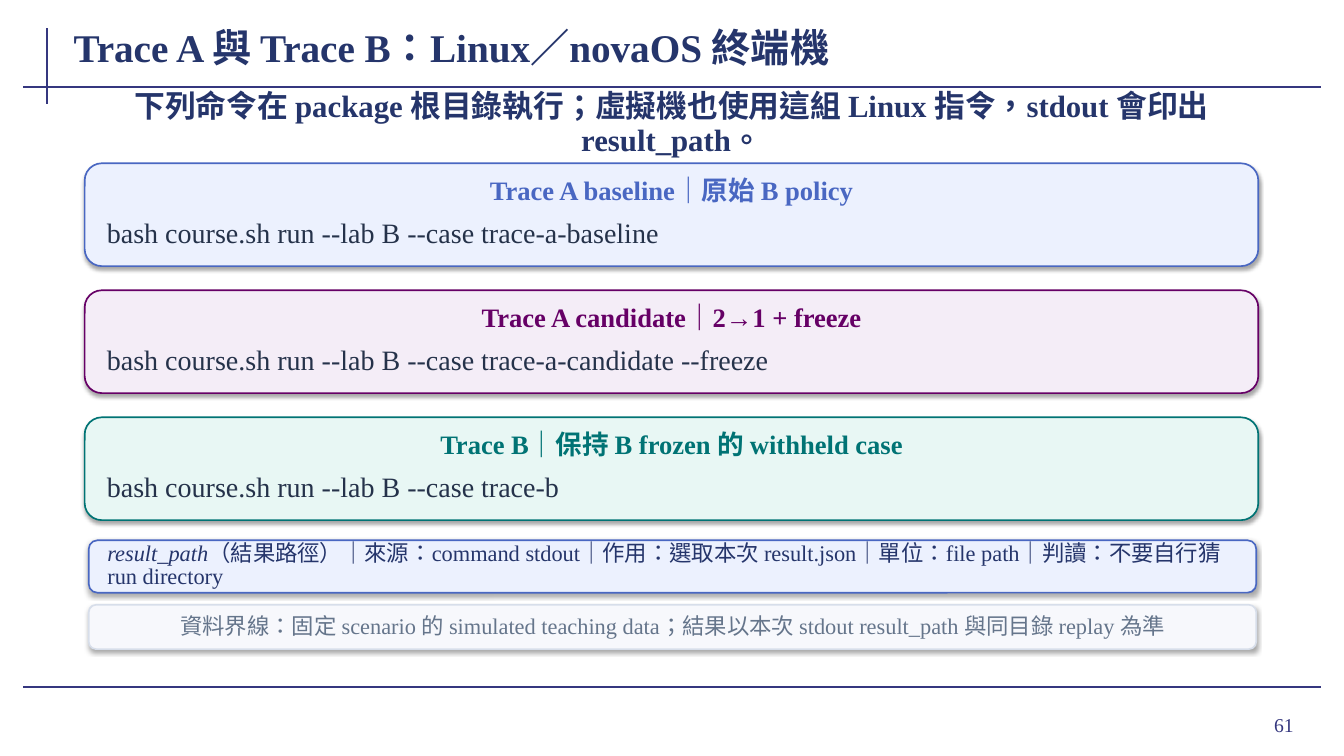
from dataclasses import dataclass

from lxml.etree import SubElement
from pptx import Presentation
from pptx.dml.color import RGBColor
from pptx.enum.lang import MSO_LANGUAGE_ID
from pptx.enum.shapes import MSO_CONNECTOR, MSO_SHAPE
from pptx.enum.text import MSO_ANCHOR, MSO_AUTO_SIZE, PP_ALIGN
from pptx.oxml.ns import qn
from pptx.util import Inches, Pt


@dataclass(frozen=True)
class Theme:
    face: str = "Times New Roman"
    rule: str = "35377F"
    navy: str = "25356B"
    ink: str = "25324A"
    blue: str = "4967C2"
    sky: str = "ECF1FE"
    plum: str = "660066"
    lilac: str = "F4EDF7"
    teal: str = "007374"
    mint: str = "E8F7F4"
    gray: str = "65758B"
    edge: str = "D7DEEA"
    pale: str = "F7F8FC"
    title: int = 28
    lead: int = 22
    code: int = 20
    label: int = 19
    note: int = 16
    page: int = 14


THEME = Theme()


def tint(code):
    return RGBColor.from_string(code)


def place(shape, box):
    shape.left, shape.top, shape.width, shape.height = map(Inches, box)


def write(shape, text, size, color, align=PP_ALIGN.LEFT, bold=False,
          space=None, pad=(0.02, 0), grow=False):
    frame = shape.text_frame
    frame.text = text
    frame.word_wrap = True
    frame.auto_size = MSO_AUTO_SIZE.SHAPE_TO_FIT_TEXT if grow else MSO_AUTO_SIZE.NONE
    frame.vertical_anchor = MSO_ANCHOR.MIDDLE
    frame.margin_left = frame.margin_right = Inches(pad[0])
    frame.margin_top = frame.margin_bottom = Inches(pad[1])
    para = frame.paragraphs[0]
    para.alignment = align
    if space:
        para.line_spacing = space
    for run in para.runs:
        style(run, size, color, bold)
    return para


def style(run, size, color, bold=False):
    run.font.name = THEME.face
    run.font.size = Pt(size)
    run.font.bold = bold
    run.font.color.rgb = tint(color)
    run.font.language_id = MSO_LANGUAGE_ID.TRADITIONAL_CHINESE


def add_text(slide, box, *args, **opts):
    shape = slide.shapes.add_textbox(*map(Inches, box))
    return write(shape, *args, **opts)


def add_rule(slide, start, end):
    line = slide.shapes.add_connector(
        MSO_CONNECTOR.STRAIGHT, *map(Inches, start + end))
    line.line.color.rgb = tint(THEME.rule)
    line.line.width = Pt(1.5)
    SubElement(line._element.spPr, qn("a:effectLst"))


def add_panel(slide, box, fill, edge):
    panel = slide.shapes.add_shape(
        MSO_SHAPE.ROUNDED_RECTANGLE, *map(Inches, box))
    panel.fill.solid()
    panel.fill.fore_color.rgb = tint(fill)
    panel.line.color.rgb = tint(edge)
    panel.line.width = Pt(1.2)
    panel.shadow.inherit = False
    effects = panel._element.spPr.find(qn("a:effectLst"))
    shade = SubElement(effects, qn("a:outerShdw"), blurRad=str(Pt(3.1)),
                       dist=str(Pt(1.8)), dir="5400000", rotWithShape="0")
    black = SubElement(shade, qn("a:srgbClr"), val="000000")
    SubElement(black, qn("a:alpha"), val="35000")
    return panel


def add_card(slide, top, label, code, fill, color):
    add_panel(slide, (0.84, top, 11.64, 1.02), fill, color)
    add_text(slide, (0.98, top + 0.12, 11.36, 0.34), label, THEME.label, color,
             PP_ALIGN.CENTER, True, 0.86, (0.01, 0), True)
    add_text(slide, (1.04, top + 0.54, 11.24, 0.36), code, THEME.code,
             THEME.ink, space=0.76, grow=True)


def main():
    deck = Presentation()
    deck.slide_width, deck.slide_height = Inches(13.33), Inches(7.5)
    slide = deck.slides.add_slide(deck.slide_layouts[5])

    add_rule(slide, (0.47, 0.28), (0.47, 1.03))
    for top in (0.86, 6.82):
        add_rule(slide, (0.23, top), (13.1, top))
    add_text(slide, (11.96, 6.93, 0.97, 0.52), "61", THEME.page, THEME.rule,
             PP_ALIGN.RIGHT, pad=(0.1, 0.05))

    title = slide.shapes.title
    place(title, (0.72, 0.2, 10.35, 0.53))
    write(title, "Trace A 與 Trace B：Linux／novaOS 終端機", THEME.title,
          THEME.navy, bold=True, pad=(0.01, 0))
    add_text(slide, (0.92, 1.02, 11.48, 0.42),
             "下列命令在 package 根目錄執行；虛擬機也使用這組 Linux 指令，stdout 會印出 result_path。",
             THEME.lead, THEME.navy, PP_ALIGN.CENTER, True, 0.94, grow=True)

    cards = (
        ("Trace A baseline｜原始 B policy", "trace-a-baseline",
         THEME.sky, THEME.blue),
        ("Trace A candidate｜2→1 + freeze", "trace-a-candidate --freeze",
         THEME.lilac, THEME.plum),
        ("Trace B｜保持 B frozen 的 withheld case", "trace-b",
         THEME.mint, THEME.teal),
    )
    for row, (label, case, fill, color) in enumerate(cards):
        add_card(slide, 1.62 + 1.26 * row, label,
                 f"bash course.sh run --lab B --case {case}", fill, color)

    result = add_panel(slide, (0.88, 5.36, 11.58, 0.52), THEME.sky, THEME.blue)
    para = write(result, "result_path", THEME.note, THEME.navy,
                 space=0.86, pad=(0.16, 0.01))
    para.runs[0].font.italic = True
    rest = para.add_run()
    rest.text = ("（結果路徑）｜來源：command stdout｜作用：選取本次 result.json"
                 "｜單位：file path｜判讀：不要自行猜 run directory")
    style(rest, THEME.note, THEME.navy)

    bounds = add_panel(slide, (0.88, 6, 11.58, 0.44), THEME.pale, THEME.edge)
    write(bounds, "資料界線：固定 scenario 的 simulated teaching data；"
          "結果以本次 stdout result_path 與同目錄 replay 為準",
          THEME.note, THEME.gray, PP_ALIGN.CENTER, space=0.9, pad=(0.03, 0.01))

    deck.save("out.pptx")


if __name__ == "__main__":
    main()
